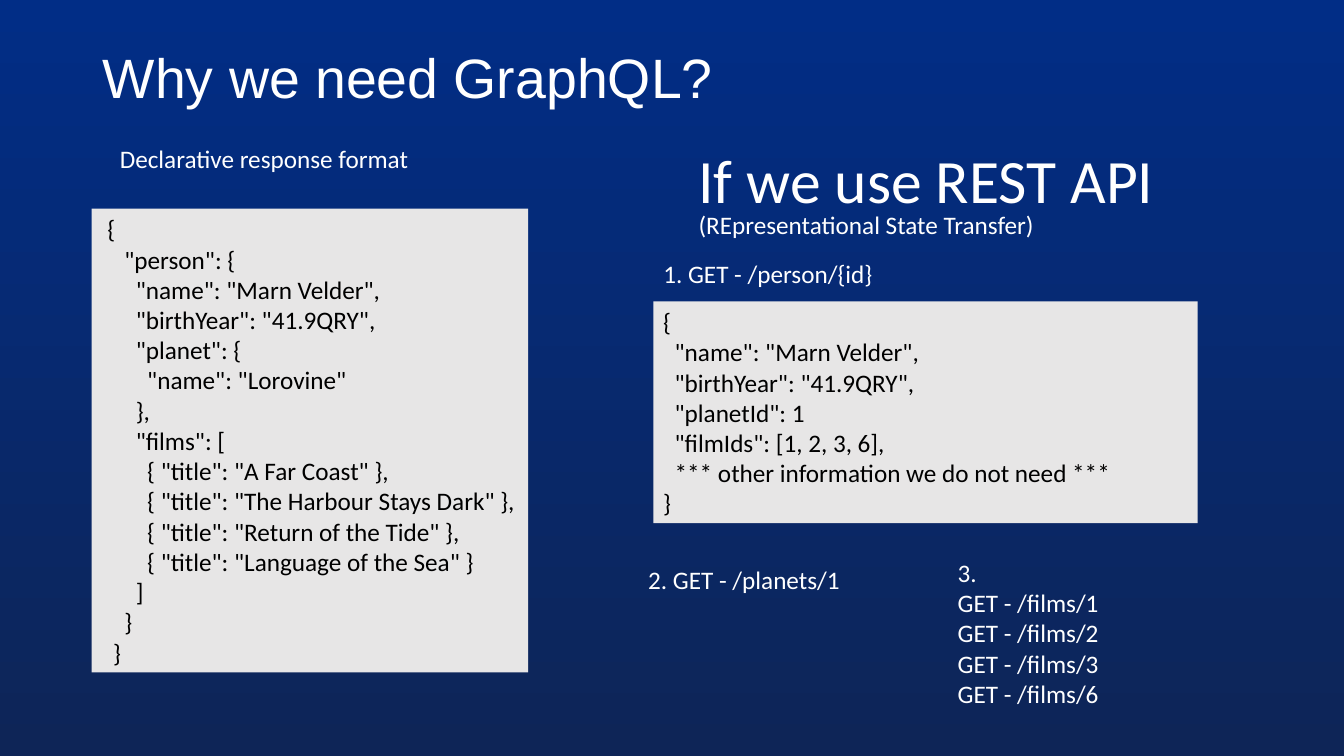
from dataclasses import dataclass

from pptx import Presentation
from pptx.dml.color import RGBColor
from pptx.enum import shapes, text
from pptx.util import Inches, Pt

WHITE, BLACK, PANEL = "FFFFFF", "000000", "E7E6E6"
BACKGROUND = ("012D86", "0E2557")
SPACE_WIDTH = 0.0565  # inches taken by one space of 18 pt Calibri

RESPONSE = """\
 {
    "person": {
      "name": "Marn Velder",
      "birthYear": "41.9QRY",
      "planet": {
        "name": "Lorovine"
      },
      "films": [
        { "title": "A Far Coast" },
        { "title": "The Harbour Stays Dark" },
        { "title": "Return of the Tide" },
        { "title": "Language of the Sea" }
      ]
    }
  }"""

PERSON = """\
{
  "name": "Marn Velder",
  "birthYear": "41.9QRY",
  "planetId": 1
  "filmIds": [1, 2, 3, 6],
  *** other information we do not need ***
}"""

FILMS = "\n".join(["3."] + [f"GET - /films/{number}" for number in (1, 2, 3, 6)])


@dataclass
class Block:
    """A box of text lines; a panel has a fill and dark text."""
    left: float
    top: float
    width: float
    height: float
    lines: str
    panel: bool = False
    sizes: tuple = (18,)
    spacing: float = 1.0
    anchor: text.MSO_ANCHOR = text.MSO_ANCHOR.TOP


BLOCKS = [
    Block(1.09, 1.37, 5.46, 0.7, "Declarative response format"),
    Block(6.83, 1.24, 6.2, 1.45,
          "If we use REST API\n(REpresentational State Transfer)",
          sizes=(44, 18), spacing=0.8, anchor=text.MSO_ANCHOR.MIDDLE),
    Block(6.48, 2.51, 4.89, 0.4, "1. GET - /person/{id}"),
    Block(0.91, 2.07, 4.33, 4.6, RESPONSE, panel=True),
    Block(6.48, 2.99, 5.4, 2.2, PERSON, panel=True),
    Block(6.33, 5.55, 2.23, 0.4, "2. GET - /planets/1"),
    Block(9.4, 5.48, 2.59, 1.6, FILMS),
]


def color(value: str) -> RGBColor:
    """Turn a hex string into a colour."""
    return RGBColor.from_string(value)


def apply(target, values: dict) -> None:
    """Set every attribute named in values."""
    for name, value in values.items():
        setattr(target, name, value)


def format_paragraph(paragraph, font: str, size: float, hue: str, spacing: float) -> None:
    """Set the alignment, spacing and font of a paragraph."""
    apply(paragraph, {"alignment": text.PP_ALIGN.LEFT, "line_spacing": spacing,
                      "space_before": Pt(0)})
    apply(paragraph.font, {"name": font, "size": Pt(size)})
    paragraph.font.color.rgb = color(hue)


def paint_background(slide) -> None:
    """Fill the slide with a gradient from top to bottom."""
    fill = slide.background.fill
    fill.gradient()
    fill.gradient_angle = 270
    for stop, hue in zip(fill.gradient_stops, BACKGROUND):
        stop.color.rgb = color(hue)


def add_title(slide, wording: str) -> None:
    """Place and format the title placeholder."""
    title = slide.shapes.title
    apply(title, {"left": Inches(0.92), "top": Inches(0.4),
                  "width": Inches(11.5), "height": Inches(1.45)})
    apply(title.text_frame, {"text": wording, "margin_top": Inches(0.1),
                             "vertical_anchor": text.MSO_ANCHOR.TOP,
                             "auto_size": text.MSO_AUTO_SIZE.NONE})
    format_paragraph(title.text_frame.paragraphs[0], "Arial", 39.6, WHITE, 0.9)


def add_block(slide, block: Block) -> None:
    """Draw a block, turning leading spaces into paragraph indents."""
    place = [Inches(v) for v in (block.left, block.top, block.width, block.height)]
    if block.panel:
        shape = slide.shapes.add_shape(shapes.MSO_SHAPE.RECTANGLE, *place)
        shape.shadow.inherit = False
        shape.fill.solid()
        shape.fill.fore_color.rgb = color(PANEL)
        shape.line.fill.background()
    else:
        shape = slide.shapes.add_textbox(*place)
    frame = shape.text_frame
    apply(frame, {"word_wrap": True, "vertical_anchor": block.anchor,
                  "margin_right": Inches(0.05)})
    for index, line in enumerate(block.lines.split("\n")):
        paragraph = frame.add_paragraph() if index else frame.paragraphs[0]
        paragraph.text = line.lstrip()
        size = block.sizes[min(index, len(block.sizes) - 1)]
        format_paragraph(paragraph, "Calibri", size,
                         BLACK if block.panel else WHITE, block.spacing)
        indent = Inches(SPACE_WIDTH * (len(line) - len(line.lstrip())))
        properties = paragraph._p.get_or_add_pPr()
        properties.set("marL", str(indent))
        properties.set("indent", "0")


def main() -> None:
    """Build and save the slide."""
    presentation = Presentation()
    apply(presentation, {"slide_width": Inches(13.33), "slide_height": Inches(7.5)})
    slide = presentation.slides.add_slide(presentation.slide_layouts[5])
    paint_background(slide)
    add_title(slide, "Why we need GraphQL?")
    for block in BLOCKS:
        add_block(slide, block)
    presentation.save("out.pptx")


main()
